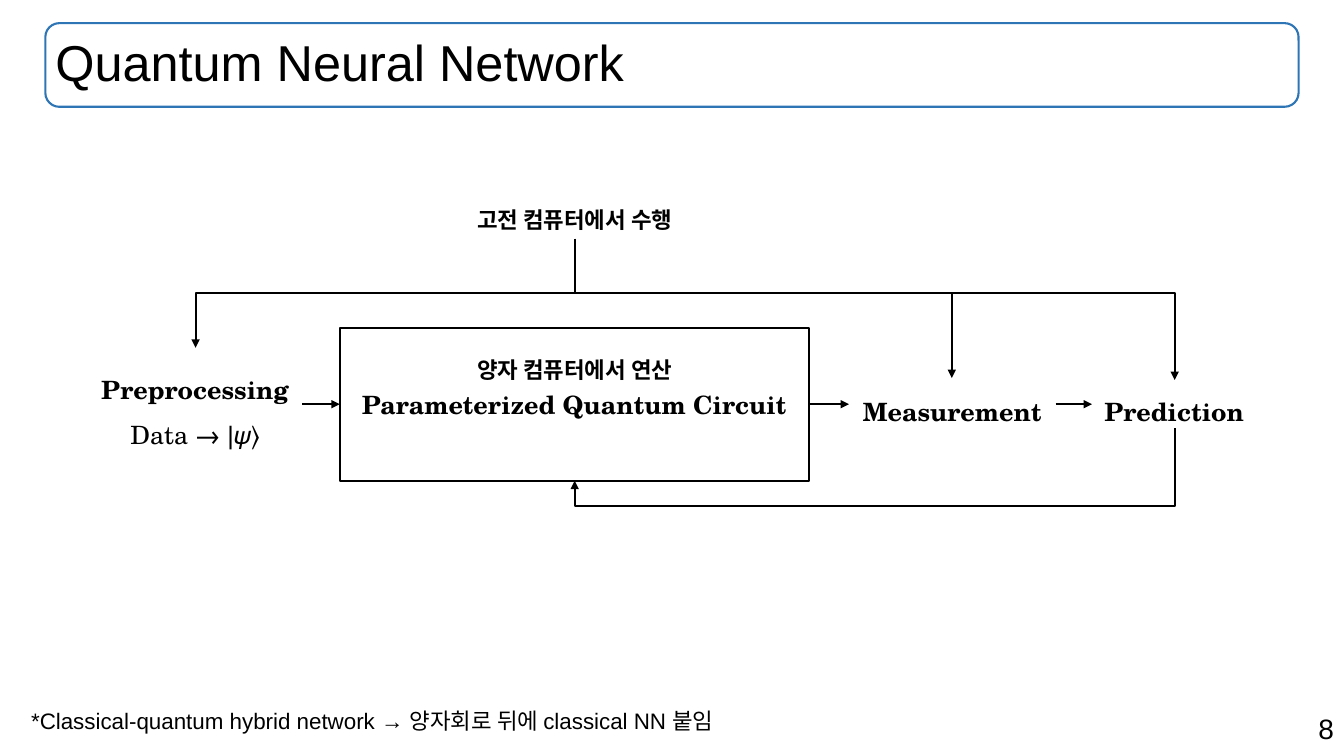
from dataclasses import dataclass
from typing import Any

from lxml.etree import SubElement
from pptx import Presentation
from pptx.dml.color import RGBColor
from pptx.enum.shapes import MSO_CONNECTOR as Connector, MSO_SHAPE as Preset
from pptx.enum.text import MSO_ANCHOR as Anchor, MSO_AUTO_SIZE as AutoSize, PP_ALIGN as Align
from pptx.oxml.ns import qn
from pptx.util import Pt

EMU_PER_PX = 9144


@dataclass(frozen=True)
class Theme:
    ink: RGBColor = RGBColor(0x00, 0x00, 0x00)
    accent: RGBColor = RGBColor(0x2E, 0x75, 0xB6)
    sans: str = "Arial"
    serif: str = "TeX Gyre Schola"
    title: int = 36
    number: int = 20
    stage: int = 18
    note: int = 16
    outline: float = 1.5
    arrow: float = 1


THEME = Theme()


@dataclass(frozen=True)
class Box:
    left: int
    top: int
    width: int
    height: int

    def emu(self) -> list[int]:
        return [px(value) for value in (self.left, self.top, self.width, self.height)]


@dataclass(frozen=True)
class Run:
    text: str
    size: int = THEME.stage
    font: str = THEME.serif
    bold: bool = False


@dataclass(frozen=True)
class Label:
    box: Box
    paragraphs: tuple[tuple[Run, ...], ...]
    align: Align = Align.CENTER
    anchor: Anchor = Anchor.TOP
    spacing: float = 1.0
    framed: bool = False


@dataclass(frozen=True)
class Elbow:
    begin: tuple[int, int]
    end: tuple[int, int]
    bend_y: int


def stage(box: Box, name: str, *more: tuple[Run, ...]) -> Label:
    return Label(box, ((Run(name, bold=True),), *more), anchor=Anchor.MIDDLE, spacing=1.5)


def caption(top: int, text: str) -> Label:
    return Label(Box(426, top, 288, 37), ((Run(text, THEME.note, THEME.sans, True),),))


TITLE_BOX = Box(45, 23, 1243, 83)
TITLE = Label(TITLE_BOX, ((Run("Quantum Neural Network", THEME.title, THEME.sans),),),
              Align.LEFT, Anchor.MIDDLE, 0.9)
STAGES = (
    stage(Box(87, 345, 213, 112), "Preprocessing",
          (Run("Data → "), Run("|𝜓⟩", font=THEME.sans))),
    Label(Box(337, 325, 465, 152), ((Run("Parameterized Quantum Circuit", bold=True),),),
          anchor=Anchor.MIDDLE, framed=True),
    stage(Box(842, 375, 205, 52), "Measurement"),
    stage(Box(1083, 377, 163, 48), "Prediction"),
)
NOTES = (
    caption(348, "양자 컴퓨터에서 연산"),
    caption(200, "고전 컴퓨터에서 수행"),
    Label(Box(21, 697, 722, 37),
          ((Run("*Classical-quantum hybrid network → 양자회로 뒤에 classical NN 붙임",
                THEME.note, THEME.sans),),), Align.LEFT),
    Label(Box(943, 701, 390, 44), ((Run("8", THEME.number, THEME.sans),),), Align.RIGHT),
)
CLASSICAL = (570, 237)
ELBOWS = (
    *(Elbow(CLASSICAL, target, 291) for target in ((194, 345), (944, 375), (1165, 377))),
    Elbow((1165, 425), (570, 477), 502),
)


def px(value: float) -> int:
    return round(value * EMU_PER_PX)


def assign(target: Any, values: dict[str, Any]) -> None:
    for name, value in values.items():
        setattr(target, name, value)


def write(shape: Any, label: Label) -> None:
    frame = shape.text_frame
    assign(frame, {"word_wrap": True, "auto_size": AutoSize.NONE,
                   "vertical_anchor": label.anchor})
    for index, runs in enumerate(label.paragraphs):
        paragraph = frame.add_paragraph() if index else frame.paragraphs[0]
        assign(paragraph, {"alignment": label.align, "line_spacing": label.spacing})
        for item in runs:
            run = paragraph.add_run()
            run.text = item.text
            assign(run.font, {"name": item.font, "size": Pt(item.size), "bold": item.bold})
            run.font.color.rgb = THEME.ink


def draw_frame(slide: Any, preset: Preset, box: Box, color: RGBColor) -> Any:
    shape = slide.shapes.add_shape(preset, *box.emu())
    shape.shadow.inherit = False
    shape.fill.background()
    shape.line.color.rgb = color
    shape.line.width = Pt(THEME.outline)
    return shape


def draw_label(slide: Any, label: Label) -> Any:
    if label.framed:
        shape = draw_frame(slide, Preset.RECTANGLE, label.box, THEME.ink)
    else:
        shape = slide.shapes.add_textbox(*label.box.emu())
    write(shape, label)
    return shape


def draw_title(slide: Any) -> None:
    draw_frame(slide, Preset.ROUNDED_RECTANGLE, TITLE_BOX, THEME.accent)
    title = slide.shapes.title
    assign(title, dict(zip(("left", "top", "width", "height"), TITLE_BOX.emu())))
    write(title, TITLE)


def style_arrow(connector: Any, width: float) -> None:
    connector.line.color.rgb = THEME.ink
    connector.line.width = Pt(width)
    SubElement(connector.line._get_or_add_ln(), qn("a:tailEnd"), type="triangle")
    SubElement(connector._element.spPr, qn("a:effectLst"))


def join(slide: Any, source: Any, target: Any) -> None:
    connector = slide.shapes.add_connector(Connector.STRAIGHT, 0, 0, 0, 0)
    connector.begin_connect(source, 3)
    connector.end_connect(target, 1)
    style_arrow(connector, THEME.arrow)


def draw_elbow(slide: Any, elbow: Elbow) -> None:
    (x1, y1), (x2, y2) = elbow.begin, elbow.end
    middle_x, middle_y = (x1 + x2) / 2, (y1 + y2) / 2
    half_width, half_height = (y2 - y1) / 2, abs(x2 - x1) / 2
    rightward = x2 > x1
    reach = -half_width if rightward else half_width
    connector = slide.shapes.add_connector(
        Connector.ELBOW, px(middle_x - reach), px(middle_y - half_height),
        px(middle_x + reach), px(middle_y + half_height))
    properties = connector._element.spPr
    properties.find(qn("a:xfrm")).set("rot", str((270 if rightward else 90) * 60000))
    adjustments = properties.find(qn("a:prstGeom")).get_or_add_avLst()
    bend = round((elbow.bend_y - y1) / (y2 - y1) * 100000)
    SubElement(adjustments, qn("a:gd"), name="adj1", fmla=f"val {bend}")
    style_arrow(connector, THEME.outline)


def main() -> None:
    presentation = Presentation()
    assign(presentation, {"slide_width": px(1333), "slide_height": px(750)})
    slide = presentation.slides.add_slide(presentation.slide_layouts[5])
    draw_title(slide)
    stages = [draw_label(slide, label) for label in STAGES]
    for source, target in zip(stages, stages[1:]):
        join(slide, source, target)
    for label in NOTES:
        draw_label(slide, label)
    for elbow in ELBOWS:
        draw_elbow(slide, elbow)
    presentation.save("out.pptx")


if __name__ == "__main__":
    main()
